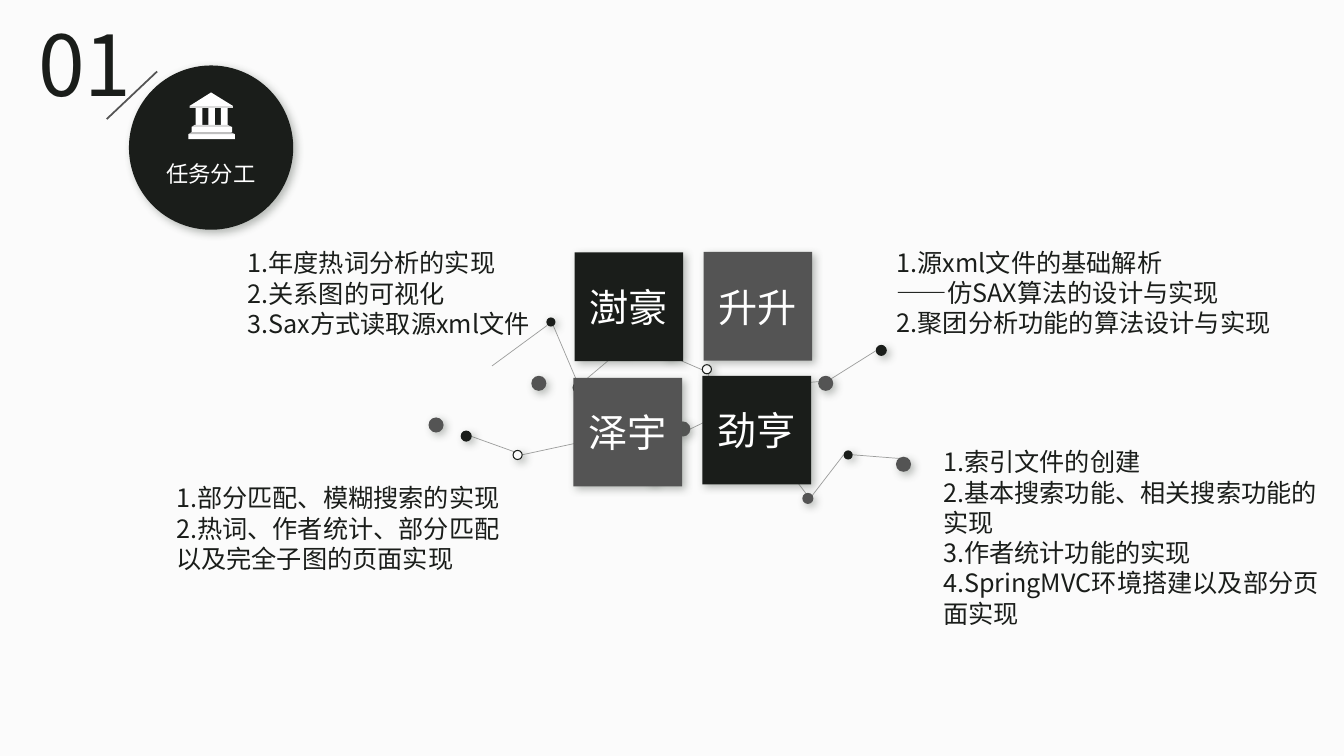
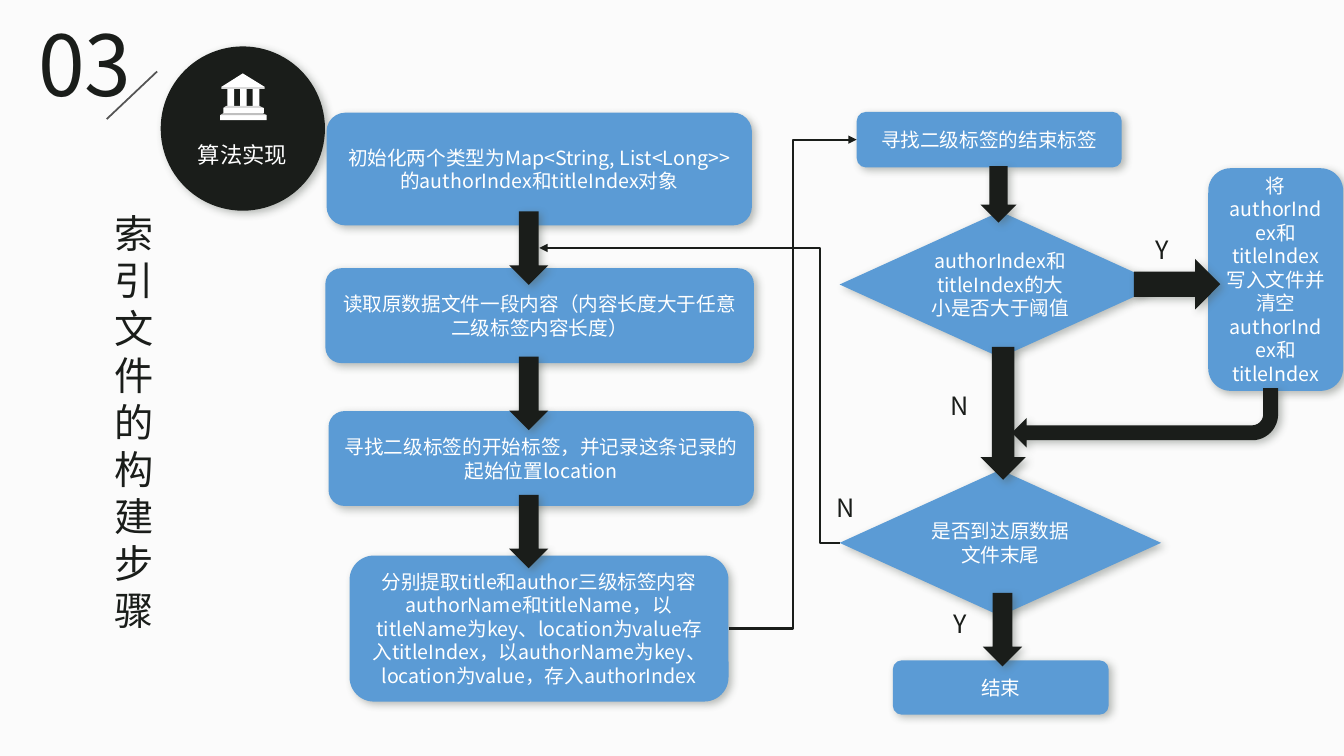
from dataclasses import dataclass

from lxml import etree
from pptx import Presentation
from pptx.dml.color import RGBColor
from pptx.enum.shapes import MSO_CONNECTOR, MSO_SHAPE
from pptx.enum.text import MSO_ANCHOR, MSO_AUTO_SIZE, PP_ALIGN
from pptx.oxml.ns import qn
from pptx.util import Cm, Pt

STRAIGHT, ELBOW = MSO_CONNECTOR.STRAIGHT, MSO_CONNECTOR.ELBOW
RECTANGLE, ROUNDED = MSO_SHAPE.RECTANGLE, MSO_SHAPE.ROUNDED_RECTANGLE
OVAL, DIAMOND = MSO_SHAPE.OVAL, MSO_SHAPE.DIAMOND
DOWN_ARROW, BENT_ARROW = MSO_SHAPE.DOWN_ARROW, MSO_SHAPE.BENT_ARROW
LEFT, CENTER, JUSTIFY = PP_ALIGN.LEFT, PP_ALIGN.CENTER, PP_ALIGN.JUSTIFY
LEFT_SIDE, RIGHT_SIDE = 1, 3


@dataclass(frozen=True)
class Theme:
    font: str = "Noto Sans CJK SC"
    paper: str = "FBFBFB"
    dark: str = "1A1D1A"
    gray: str = "545454"
    blue: str = "5B9BD5"
    white: str = "FFFFFF"
    light: str = "D9D9D9"
    silver: str = "BFBFBF"
    shadow: str = "505950"
    number_size: int = 60
    heading_size: int = 28
    body_size: int = 18
    label_size: int = 16
    step_size: int = 14


class Deck:
    def __init__(self, theme):
        self.theme = theme
        self.presentation = Presentation()
        self.presentation.slide_width = Cm(33.87)
        self.presentation.slide_height = Cm(19.05)
        self.slide = None

    def new_slide(self):
        self.slide = self.presentation.slides.add_slide(self.presentation.slide_layouts[6])
        background = self.slide.background.fill
        background.solid()
        background.fore_color.rgb = RGBColor.from_string(self.theme.paper)

    def set_text(self, shape, text, size, color, align):
        frame = shape.text_frame
        frame.word_wrap = True
        frame.text = text
        for paragraph in frame.paragraphs:
            paragraph.alignment = align
            for run in paragraph.runs:
                run.font.size = Pt(size)
                run.font.color.rgb = RGBColor.from_string(color)
                run.font.name = self.theme.font
                east_asian = etree.SubElement(run.font._element, qn("a:ea"))
                east_asian.set("typeface", self.theme.font)

    def text(self, box, text, size, color=None, align=LEFT):
        shape = self.slide.shapes.add_textbox(*map(Cm, box))
        self.set_text(shape, text, size, color or self.theme.dark, align)
        shape.text_frame.auto_size = MSO_AUTO_SIZE.SHAPE_TO_FIT_TEXT

    def paint(self, shape, fill, outline=None, shadow=False):
        shape.fill.solid()
        shape.fill.fore_color.rgb = RGBColor.from_string(fill)
        if outline:
            shape.line.color.rgb = RGBColor.from_string(outline)
            shape.line.width = Pt(0.75)
        else:
            shape.line.fill.background()
        shape.shadow.inherit = False
        if shadow:
            effects = shape._element.spPr.find(qn("a:effectLst"))
            outer = etree.SubElement(
                effects, qn("a:outerShdw"), blurRad=str(Pt(6)), dist=str(Pt(3)),
                dir="2700000", algn="tl", rotWithShape="0")
            color = etree.SubElement(outer, qn("a:srgbClr"), val=self.theme.shadow)
            etree.SubElement(color, qn("a:alpha"), val="40000")

    def shape(self, kind, box, fill, outline=None, rotation=0):
        """Add a preset shape with the shared soft shadow."""
        shape = self.slide.shapes.add_shape(kind, *map(Cm, box))
        shape.rotation = rotation
        self.paint(shape, fill, outline, shadow=True)
        return shape

    def block(self, kind, box, fill, text, size):
        """Add a shape with centred white text."""
        shape = self.shape(kind, box, fill)
        self.set_text(shape, text, size, self.theme.white, CENTER)
        shape.text_frame.vertical_anchor = MSO_ANCHOR.MIDDLE
        return shape

    def line(self, ends, color, width, kind=STRAIGHT, alpha=None, arrow=False):
        connector = self.slide.shapes.add_connector(kind, *map(Cm, ends))
        connector.line.color.rgb = RGBColor.from_string(color)
        connector.line.width = Pt(width)
        properties = connector._element.spPr
        outline = properties.find(qn("a:ln"))
        if alpha:
            color_element = outline.find(".//" + qn("a:srgbClr"))
            etree.SubElement(color_element, qn("a:alpha"), val=str(alpha * 1000))
        if arrow:
            etree.SubElement(outline, qn("a:tailEnd"), type="triangle")
        etree.SubElement(properties, qn("a:effectLst"))
        return connector

    def building_icon(self, left, top):
        theme = self.theme
        shapes = self.slide.shapes.add_group_shape().shapes
        bars = [
            (1.5, 1.73, 1.17, 0.13, theme.white),
            (1.58, 1.55, 1.02, 0.13, theme.white),
            (1.53, 1.02, 1.09, 0.05, theme.light),
        ]
        bars += [(1.68 + 0.32 * column, 1.07, 0.17, 0.44, theme.white) for column in range(3)]
        for x, y, width, height, color in bars:
            bar = shapes.add_shape(
                RECTANGLE, Cm(left + x), Cm(top + y), Cm(width), Cm(height))
            self.paint(bar, color)
        outlines = [
            ([(1.53, 1.02), (2.07, 0.68), (2.62, 1.02)], theme.white),
            ([(1.58, 1.68), (2.57, 1.68), (2.67, 1.73), (1.5, 1.73)], theme.silver),
            ([(1.65, 1.5), (2.49, 1.5), (2.59, 1.55), (1.58, 1.55)], theme.light),
        ]
        for corners, color in outlines:
            points = [(Cm(left + x), Cm(top + y)) for x, y in corners]
            builder = shapes.build_freeform(*points[0])
            builder.add_line_segments(points[1:], close=True)
            self.paint(builder.convert_to_shape(), color)

    def section_header(self, number, label, left, top):
        """Add the section number, slash and round badge at left, top."""
        theme = self.theme
        self.text((0.71, 0.18, 2.9, 2.82), number, theme.number_size, align=JUSTIFY)
        self.line((3.96, 1.8, 2.69, 3), theme.gray, 1.25)
        self.shape(OVAL, (left, top, 4.14, 4.14), theme.dark)
        self.building_icon(left, top)
        self.text((left - 0.55, top + 2.26, 5.23, 0.94), label,
                  theme.label_size, theme.white, CENTER)


def build_task_slide(deck):
    theme = deck.theme
    deck.new_slide()
    links = [
        (20.83, 9.6, 19.86, 9.68), (20.78, 9.65, 22.07, 8.84),
        (17.96, 10.54, 17.27, 10.87), (13.16, 11.46, 15.06, 11.05),
        (11.89, 11, 12.95, 11.38), (17.83, 9.35, 18.14, 10.46),
        (21.49, 11.46, 22.76, 11.56), (20.42, 12.55, 21.26, 11.46),
        (20.4, 12.55, 19.23, 11.02), (15.62, 8.84, 14.66, 9.65),
        (16.89, 8.97, 17.7, 9.32), (12.4, 9.22, 13.79, 8.2),
        (14.55, 9.63, 13.94, 8.2),
    ]
    for ends in links:
        deck.line(ends, theme.dark, 0.5, alpha=41)

    dot_groups = [
        (theme.dark, None, [
            (22.07, 8.69, 0.28), (21.26, 11.35, 0.23), (19.71, 9.63, 0.28),
            (13.77, 8, 0.23), (14.43, 9.63, 0.28), (11.61, 10.85, 0.28)]),
        (theme.gray, None, [
            (20.62, 9.47, 0.38), (22.58, 11.51, 0.38), (20.22, 12.42, 0.28),
            (18.95, 10.85, 0.38), (10.8, 10.52, 0.38), (13.39, 9.47, 0.38),
            (15.57, 8.64, 0.25), (16.08, 10.34, 0.3), (15.06, 10.85, 0.38),
            (17.02, 10.62, 0.38)]),
        (theme.paper, theme.dark, [
            (17.7, 9.19, 0.23), (12.93, 11.35, 0.23), (16.71, 8.79, 0.23),
            (16.33, 11.94, 0.23), (18.01, 10.34, 0.33)]),
    ]
    for fill, outline, dots in dot_groups:
        for x, y, diameter in dots:
            deck.shape(OVAL, (x, y, diameter, diameter), fill, outline)

    members = [
        (17.73, 6.35, theme.gray, "升升"),
        (17.7, 9.47, theme.dark, "劲亨"),
        (14.48, 6.36, theme.dark, "澍豪"),
        (14.45, 9.52, theme.gray, "泽宇"),
    ]
    for x, y, fill, name in members:
        deck.block(RECTANGLE, (x, y, 2.74, 2.74), fill, name, theme.heading_size)

    deck.section_header("01", "任务分工", 3.25, 1.65)
    duties = [
        ((22.35, 6.1, 10, 2.57),
         ["1.源xml文件的基础解析", "——仿SAX算法的设计与实现", "2.聚团分析功能的算法设计与实现"]),
        ((5.99, 6.12, 7.65, 2.57),
         ["1.年度热词分析的实现", "2.关系图的可视化", "3.Sax方式读取源xml文件"]),
        ((4.19, 12.04, 8.73, 2.57),
         ["1.部分匹配、模糊搜索的实现", "2.热词、作者统计、部分匹配", "以及完全子图的页面实现"]),
        ((23.52, 11.13, 10, 4.88),
         ["1.索引文件的创建", "2.基本搜索功能、相关搜索功能的实现",
          "3.作者统计功能的实现", "4.SpringMVC环境搭建以及部分页面实现"]),
    ]
    for box, lines in duties:
        deck.text(box, "\n".join(lines), theme.body_size)


def build_algorithm_slide(deck):
    theme = deck.theme
    deck.new_slide()
    deck.section_header("03", "算法实现", 4.05, 1.17)
    deck.text((2.64, 5.16, 1.3, 11.02), "索引文件的构建步骤", theme.heading_size)

    def step(kind, box, text):
        return deck.block(kind, box, theme.blue, text, theme.step_size)

    step(ROUNDED, (8.23, 2.84, 10.72, 2.84),
         "初始化两个类型为Map<String, List<Long>>的authorIndex和titleIndex对象")
    extract = step(
        ROUNDED, (8.81, 14, 9.55, 3.68),
        "分别提取title和author三级标签内容authorName和titleName，"
        "以titleName为key、location为value存入titleIndex，"
        "以authorName为key、location为value，存入authorIndex")
    find_end = step(ROUNDED, (21.59, 2.82, 6.68, 1.4), "寻找二级标签的结束标签")
    step(ROUNDED, (30.45, 4.24, 3.4, 5.61),
         "将authorIndex和titleIndex写入文件并清空authorIndex和titleIndex")
    step(ROUNDED, (8.28, 10.36, 10.72, 2.39),
         "寻找二级标签的开始标签，并记录这条记录的起始位置location")
    step(ROUNDED, (8.2, 6.76, 10.8, 2.39),
         "读取原数据文件一段内容（内容长度大于任意二级标签内容长度）")
    step(DIAMOND, (21.16, 5.33, 8.1, 3.68), "authorIndex和titleIndex的大小是否大于阈值")
    at_file_end = step(DIAMOND, (21.16, 11.84, 8.1, 3.68), "是否到达原数据文件末尾")
    step(ROUNDED, (22.5, 16.64, 5.44, 1.37), "结束")

    arrows = [
        (DOWN_ARROW, (12.83, 5.33, 0.99, 1.85), 0),
        (DOWN_ARROW, (12.83, 8.99, 0.99, 1.85), 0),
        (DOWN_ARROW, (12.83, 12.47, 0.99, 1.85), 0),
        (DOWN_ARROW, (24.71, 4.19, 0.91, 1.42), 0),
        (DOWN_ARROW, (24.71, 8.74, 1.14, 3.35), 0),
        (DOWN_ARROW, (24.77, 14.94, 0.99, 1.85), 0),
        (DOWN_ARROW, (29.03, 6.07, 1.27, 2.18), 270),
        (BENT_ARROW, (25.5, 9.78, 6.71, 1.5), 180),
    ]
    for kind, box, rotation in arrows:
        deck.shape(kind, box, theme.dark, rotation=rotation)

    to_next_column = deck.line((18.36, 15.84, 21.59, 3.52), theme.dark, 1.5, ELBOW, arrow=True)
    to_next_column.begin_connect(extract, RIGHT_SIDE)
    to_next_column.end_connect(find_end, LEFT_SIDE)
    loop_back = deck.line((21.16, 13.68, 13.59, 6.25), theme.dark, 1.5, ELBOW, arrow=True)
    loop_back.begin_connect(at_file_end, LEFT_SIDE)
    guides = loop_back._element.spPr.find(".//" + qn("a:avLst"))
    etree.SubElement(guides, qn("a:gd"), name="adj1", fmla="val 6600")

    branches = [(28.88, 5.79, "Y"), (23.77, 15.21, "Y"), (23.7, 9.7, "N"), (20.83, 12.29, "N")]
    for x, y, answer in branches:
        deck.text((x, y, 0.99, 1.02), answer, theme.body_size)


def main():
    deck = Deck(Theme())
    build_task_slide(deck)
    build_algorithm_slide(deck)
    deck.presentation.save("out.pptx")


if __name__ == "__main__":
    main()
